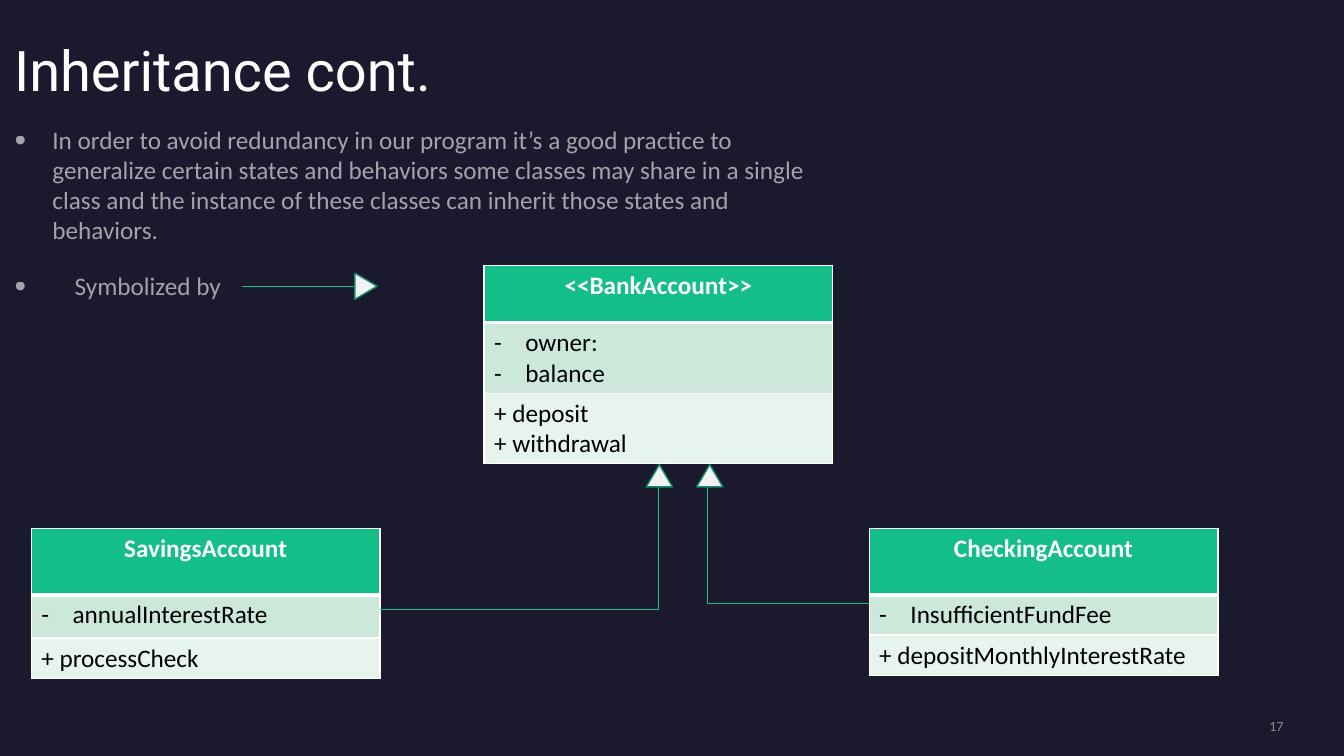
from lxml import etree
from pptx import Presentation
from pptx import util as u
from pptx.dml.color import RGBColor
from pptx.enum import shapes, text
from pptx.oxml.ns import qn

COLORS = {
    "background": "1B192E", "white": "FFFFFF", "black": "000000", "number": "A6A6A6",
    "green": "13BE89", "dark_green": "0E8D65", "attributes": "CCE8DA",
    "methods": "E7F4ED", "arrow": "F2F2F2",
}


def color(name):
    return RGBColor.from_string(COLORS[name])


def child(parent, tag, **attributes):
    return etree.SubElement(parent, qn(tag), attributes)


def style_paragraph(para, size, ink, font="Calibri", bold=False, alpha=None):
    para.font.size = u.Pt(size)
    para.font.name = font
    para.font.bold = bold
    para.font.color.rgb = color(ink)
    if alpha:
        for tint in para._p.iter(qn("a:srgbClr")):
            child(tint, "a:alpha", val=str(alpha * 1000))


def add_bullet(para, symbol, indent):
    properties = para._p.get_or_add_pPr()
    properties.set("marL", str(u.Inches(indent)))
    properties.set("indent", str(-u.Inches(indent)))
    child(properties, "a:buFont", typeface="Calibri")
    child(properties, "a:buChar", char=symbol)


def clear_margins(frame, anchor):
    frame.margin_left = frame.margin_right = frame.margin_top = frame.margin_bottom = 0
    frame.vertical_anchor = anchor
    frame.word_wrap = True


def add_text_box(page, left, top, width, height, anchor):
    box = page.shapes.add_textbox(*map(u.Inches, (left, top, width, height)))
    clear_margins(box.text_frame, anchor)
    return box.text_frame


def set_title(page, wording):
    title = page.shapes.title
    title.left, title.top, title.width, title.height = map(u.Inches, (0.14, 0.22, 7.66, 0.8))
    clear_margins(title.text_frame, text.MSO_ANCHOR.BOTTOM)
    para = title.text_frame.paragraphs[0]
    para.text = wording
    para.alignment = text.PP_ALIGN.LEFT
    style_paragraph(para, 40, "white", "Roboto")


def add_bullets(page, items):
    frame = add_text_box(page, 0.14, 1.23, 7.88, 2.12, text.MSO_ANCHOR.TOP)
    for index, (wording, indent) in enumerate(items):
        para = frame.add_paragraph() if index else frame.paragraphs[0]
        para.text = wording
        add_bullet(para, "•", indent)
        para.space_before, para.space_after = u.Pt(10), u.Pt(8)
        style_paragraph(para, 18, "white", alpha=60)


def add_page_number(page, number):
    frame = add_text_box(page, 10.88, 7.12, 1.85, 0.17, text.MSO_ANCHOR.MIDDLE)
    para = frame.paragraphs[0]
    para.text = number
    para.alignment = text.PP_ALIGN.RIGHT
    style_paragraph(para, 10, "number", alpha=80)


def add_borders(cell, bottom):
    properties = cell._tc.get_or_add_tcPr()
    for side, width in (("L", 1), ("R", 1), ("T", 1), ("B", bottom)):
        line = child(properties, f"a:ln{side}", w=str(u.Pt(width)))
        child(child(line, "a:solidFill"), "a:srgbClr", val=COLORS["white"])


def add_class(page, left, top, heights, name, attributes, methods):
    frame = page.shapes.add_table(
        3, 1, *map(u.Inches, (left, top, 3.46, sum(heights))))
    sections = (([name], "green"), (attributes, "attributes"), (methods, "methods"))
    for index, (lines, fill) in enumerate(sections):
        header = index == 0
        frame.table.rows[index].height = u.Inches(heights[index])
        cell = frame.table.cell(index, 0)
        add_borders(cell, 3 if header else 1)
        cell.fill.solid()
        cell.fill.fore_color.rgb = color(fill)
        cell.text = "\n".join(lines)
        for para in cell.text_frame.paragraphs:
            if header:
                para.alignment = text.PP_ALIGN.CENTER
            if fill == "attributes":
                add_bullet(para, "-", 0.31)
            style_paragraph(para, 18, "white" if header else "black", bold=header)


def add_line(page, start, end, kind):
    line = page.shapes.add_connector(kind, *map(u.Inches, (*start, *end)))
    line.line.color.rgb = color("green")
    line.line.width = u.Pt(0.5)
    child(line._element.spPr, "a:effectLst")
    return line


def add_elbow(page, start, end):
    line = add_line(page, start, end, shapes.MSO_CONNECTOR.ELBOW)
    guides = line._element.spPr.find(qn("a:prstGeom")).find(qn("a:avLst"))
    child(guides, "a:gd", name="adj1", fmla="val 100000")


def add_arrowhead(page, left, top, rotation=0):
    head = page.shapes.add_shape(
        shapes.MSO_SHAPE.ISOSCELES_TRIANGLE, *map(u.Inches, (left, top, 0.26, 0.22)))
    head.shadow.inherit = False
    head.rotation = rotation
    head.fill.solid()
    head.fill.fore_color.rgb = color("arrow")
    head.line.color.rgb = color("dark_green")
    head.line.width = u.Pt(1)


def main():
    deck = Presentation()
    deck.slide_width, deck.slide_height = u.Inches(13.33), u.Inches(7.5)
    page = deck.slides.add_slide(deck.slide_layouts[5])
    page.background.fill.solid()
    page.background.fill.fore_color.rgb = color("background")

    set_title(page, "Inheritance cont.")
    add_bullets(page, [
        ("In order to avoid redundancy in our program it’s a good practice to generalize "
         "certain states and behaviors some classes may share in a single class and the "
         "instance of these classes can inherit those states and behaviors.", 0.38),
        ("Symbolized by", 0.6),
    ])
    add_page_number(page, "17")

    add_class(page, 4.8, 2.63, (0.57, 0.7, 0.7), "<<BankAccount>>",
              ["owner:", "balance"], ["+ deposit", "+ withdrawal"])
    add_class(page, 0.31, 5.24, (0.66, 0.43, 0.4), "SavingsAccount",
              ["annualInterestRate"], ["+ processCheck"])
    add_class(page, 8.62, 5.24, (0.66, 0.4, 0.4), "CheckingAccount",
              ["InsufficientFundFee"], ["+ depositMonthlyInterestRate"])

    add_line(page, (2.4, 2.84), (3.52, 2.84), shapes.MSO_CONNECTOR.STRAIGHT)
    add_arrowhead(page, 3.5, 2.73, 90)
    add_elbow(page, (3.77, 6.05), (6.53, 4.66))
    add_elbow(page, (8.62, 5.99), (7.02, 4.75))
    for left in (6.41, 6.91):
        add_arrowhead(page, left, 4.61)

    deck.save("out.pptx")


main()
